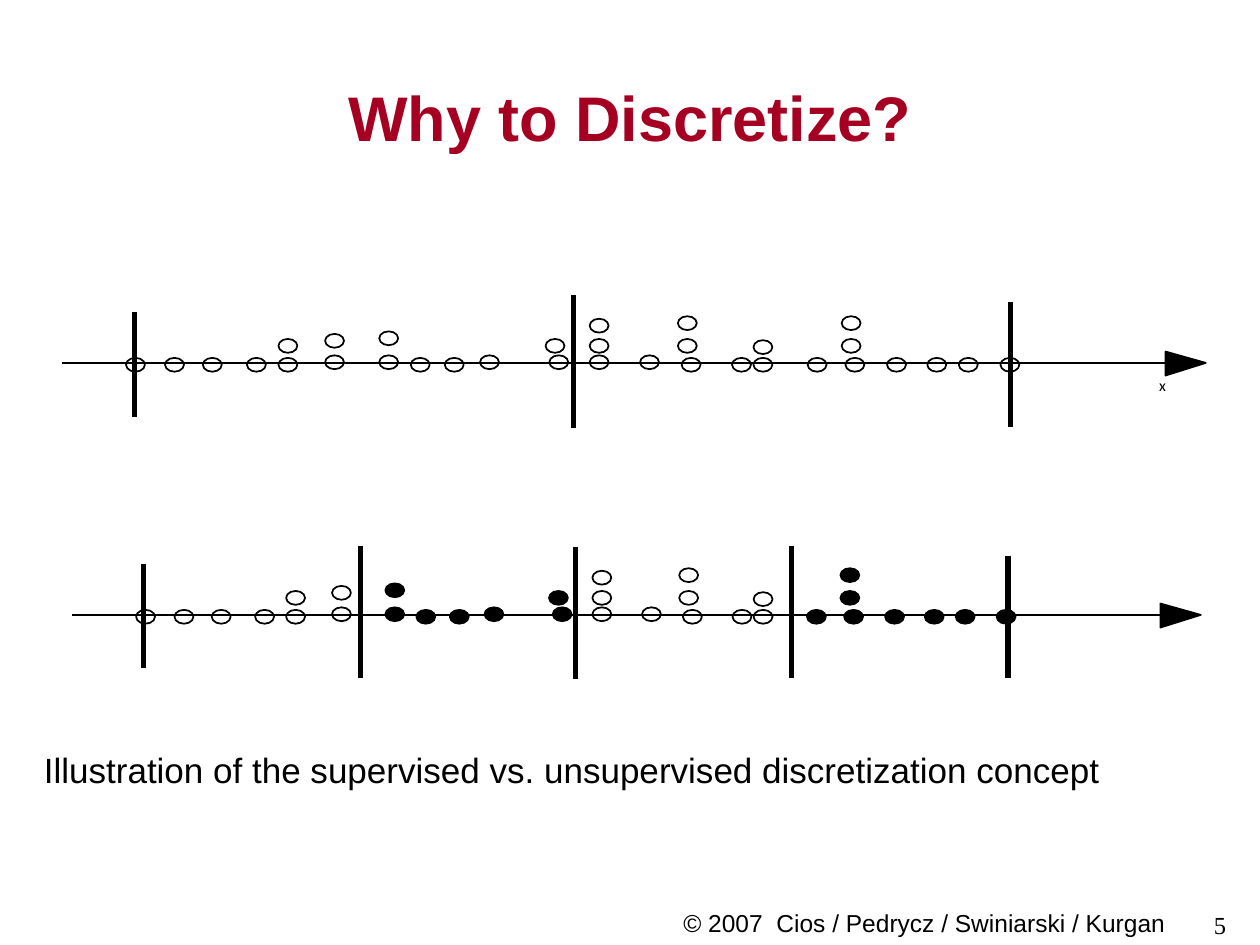
from pptx import Presentation
from pptx.dml.color import RGBColor
from pptx.enum.shapes import MSO_CONNECTOR, MSO_SHAPE
from pptx.enum.text import MSO_ANCHOR, PP_ALIGN
from pptx.util import Inches, Pt
from lxml import etree

INK = {"black": "000000", "red": "A50021"}
NS = "http://schemas.openxmlformats.org/drawingml/2006/main"

DOTS = {
    -0.04: [1, 1.31, 1.61, 1.96, 2.21, 3.26, 3.53, 5.41, 5.81, 5.98,
            6.41, 6.71, 7.04, 7.36, 7.61, 7.94],
    -0.06: [2.58, 3.01, 3.81, 4.36, 4.68, 5.08],
    -0.18: [5.98],
    -0.19: [2.21, 4.33, 4.68, 5.38, 6.68],
    -0.23: [2.58],
    -0.25: [3.01],
    -0.35: [4.68],
    -0.37: [5.38, 6.68],
}
TOP_CUTS = [(1.07, 2.48, 3.31), (4.55, 2.34, 3.4), (8.02, 2.4, 3.39)]
LOW_CUTS = [(1.14, 4.48, 5.3), (2.86, 4.33, 5.38), (4.57, 4.34, 5.39),
            (6.28, 4.33, 5.38), (8, 4.41, 5.38)]


class Deck:
    def __init__(self):
        self.prs = Presentation()
        self.prs.slide_width = Inches(10)
        self.prs.slide_height = Inches(7.5)
        self.slide = self.prs.slides.add_slide(self.prs.slide_layouts[5])

    def color(self, name):
        return RGBColor.from_string(INK[name])

    def label(self, frame, text, size, face="Arial", ink="black",
              align=PP_ALIGN.LEFT, bold=False):
        para = frame.paragraphs[0]
        para.alignment = align
        run = para.add_run()
        run.text = text
        font = run.font
        font.size, font.name, font.bold = Pt(size), face, bold
        font.color.rgb = self.color(ink)

    def title(self, text):
        box = self.slide.shapes.title
        box.left, box.top = Inches(0.5), Inches(0.3)
        box.width, box.height = Inches(9), Inches(1.25)
        box.text_frame.vertical_anchor = MSO_ANCHOR.MIDDLE
        self.label(box.text_frame, text, 36, ink="red",
                   align=PP_ALIGN.CENTER, bold=True)

    def text(self, text, place, size, pad=True, **style):
        box = self.slide.shapes.add_textbox(*map(Inches, place))
        frame = box.text_frame
        frame.word_wrap = pad
        if not pad:
            frame.margin_left = frame.margin_right = 0
            frame.margin_top = frame.margin_bottom = 0
        self.label(frame, text, size, **style)

    def line(self, start, end, width):
        line = self.slide.shapes.add_connector(
            MSO_CONNECTOR.STRAIGHT, *map(Inches, start + end))
        line.line.color.rgb = self.color("black")
        line.line.width = Pt(width)
        etree.SubElement(line._element.spPr, f"{{{NS}}}effectLst")

    def paint(self, shape, full):
        shape.shadow.inherit = False
        shape.line.color.rgb = self.color("black")
        shape.line.width = Pt(1)
        if full:
            shape.fill.solid()
            shape.fill.fore_color.rgb = self.color("black")
        else:
            shape.fill.background()

    def dot(self, x, y, full):
        place = map(Inches, (x, y, 0.15, 0.11))
        self.paint(self.slide.shapes.add_shape(MSO_SHAPE.OVAL, *place), full)

    def axis(self, left, neck, tip, y):
        pen = self.slide.shapes.build_freeform(Inches(tip), Inches(y))
        pen.add_line_segments([(Inches(neck), Inches(y + 0.1)),
                               (Inches(neck), Inches(y - 0.09))])
        self.paint(pen.convert_to_shape(), True)
        self.line((left, y), (neck, y), 1)

    def plot(self, y, start, scale, cuts, mixed):
        for rise, row in DOTS.items():
            for spot in row:
                x = start + (spot - 1) * scale
                odd = sum(cut[0] < x for cut in cuts[1:-1]) % 2 == 1
                self.dot(x, y + rise, mixed and odd)
        for x, top, base in cuts:
            self.line((x, top), (x, base), 3)


def main():
    deck = Deck()
    deck.title("Why to Discretize?")
    deck.text("© 2007  Cios / Pedrycz / Swiniarski / Kurgan",
              (3.5, 7.16, 5.85, 0.32), 14, align=PP_ALIGN.RIGHT)
    deck.text("5", (7.5, 7.17, 2.33, 0.32), 14, face="Times New Roman",
              align=PP_ALIGN.RIGHT)
    deck.text("x", (9.2, 2.98, 0.07, 0.15), 9, pad=False, face="Calibri")
    deck.axis(0.49, 9.25, 9.57, 2.88)
    deck.plot(2.88, 1, 1, TOP_CUTS, False)
    deck.axis(0.57, 9.21, 9.53, 4.88)
    deck.plot(4.88, 1.08, 6.83 / 6.94, LOW_CUTS, True)
    deck.text("Illustration of the supervised vs. unsupervised "
              "discretization concept", (0.25, 5.89, 9.48, 0.44), 20)
    deck.prs.save("out.pptx")


if __name__ == "__main__":
    main()
